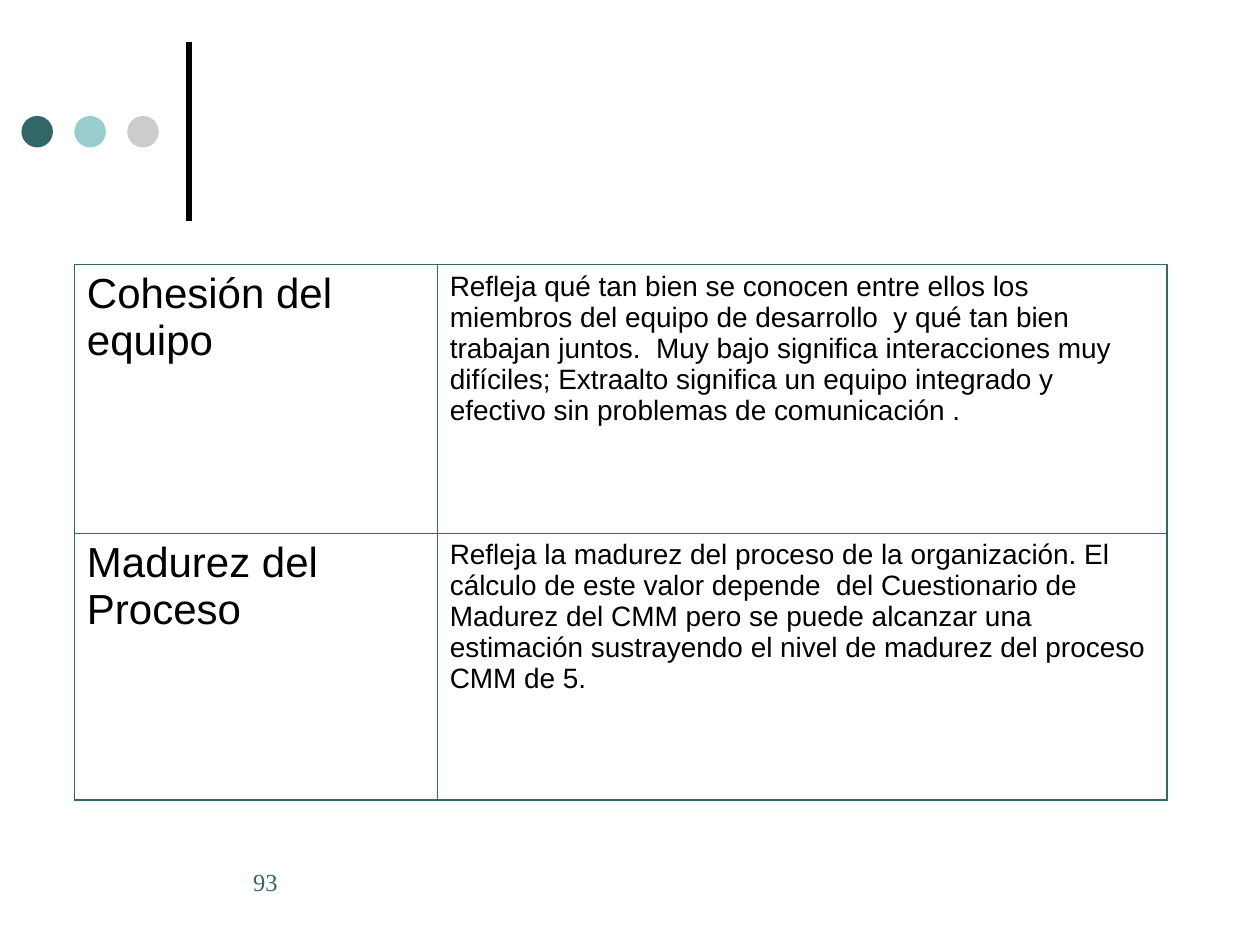
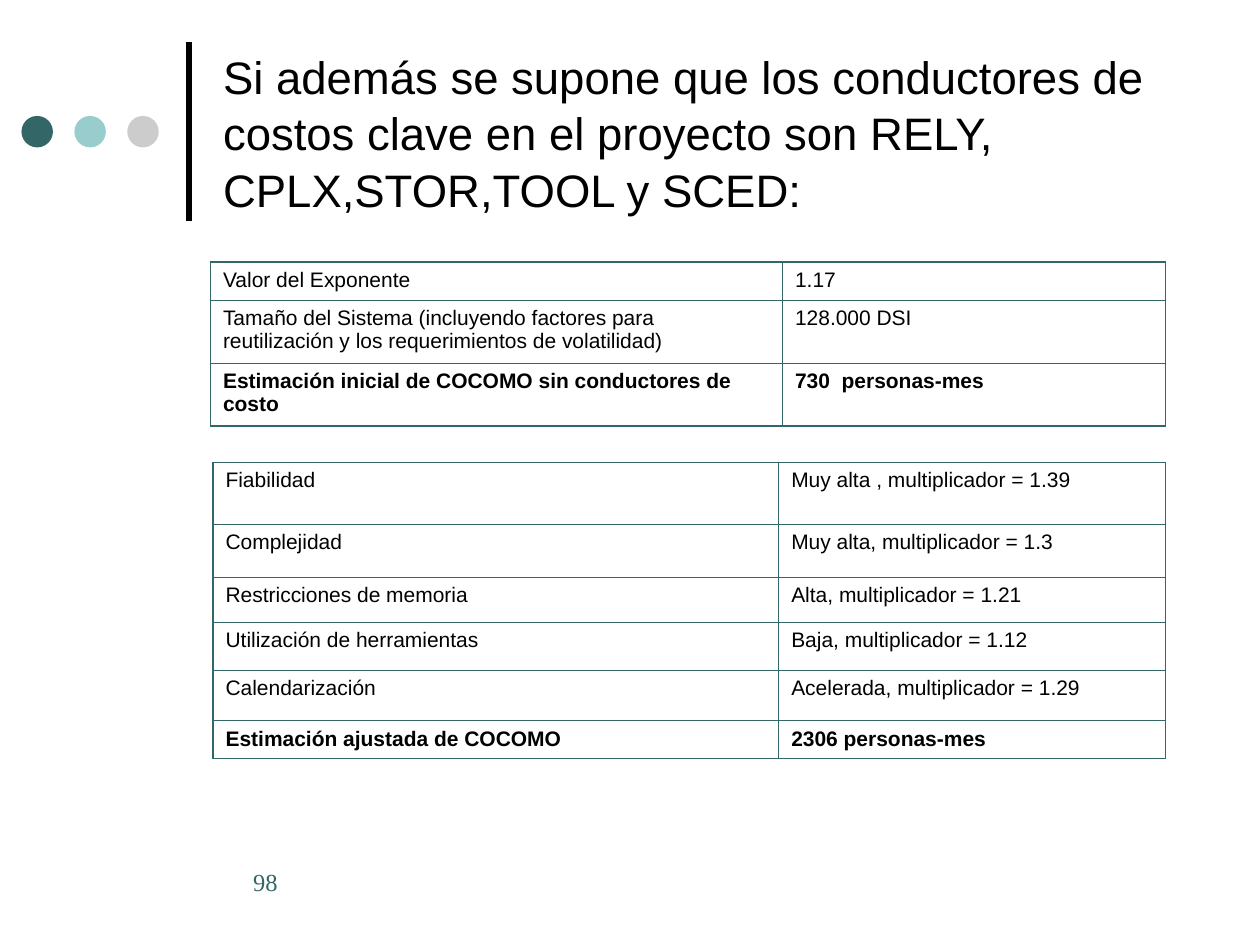
"""Build two COCOMO slides: scale factors and the adjusted effort estimate."""
from dataclasses import dataclass

from lxml.etree import SubElement
from pptx import Presentation
from pptx.dml.color import RGBColor
from pptx.enum.shapes import MSO_CONNECTOR as Connector, MSO_SHAPE as Shape
from pptx.enum.text import MSO_ANCHOR as Anchor, MSO_AUTO_SIZE as AutoSize, PP_ALIGN as Align
from pptx.oxml import parse_xml
from pptx.oxml.ns import nsdecls, qn
from pptx.util import Inches, Pt


@dataclass(frozen=True)
class Theme:
    teal: str = "336666"
    aqua: str = "99CCCC"
    grey: str = "CCCCCC"
    ink: str = "000000"
    body_font: str = "Arial"
    number_font: str = "Times New Roman"
    title_size: int = 26
    term_size: int = 24
    text_size: int = 16
    small_size: int = 12
    number_size: int = 14
    outer_border: float = 1.08
    inner_border: float = 0.45


THEME = Theme()
SMALL = (THEME.small_size, THEME.small_size)

SLIDES = [
    {
        "number": "93",
        "title": None,
        "tables": [
            {
                "at": (0.59, 2.1),
                "columns": (2.88, 5.79),
                "heights": (2.13, 2.12),
                "sizes": (THEME.term_size, THEME.text_size),
                "total": False,
                "rows": [
                    ("Cohesión del equipo",
                     "Refleja qué tan bien se conocen entre ellos los miembros del equipo de "
                     "desarrollo  y qué tan bien trabajan juntos.  Muy bajo significa "
                     "interacciones muy difíciles; Extraalto significa un equipo integrado y "
                     "efectivo sin problemas de comunicación ."),
                    ("Madurez del Proceso",
                     "Refleja la madurez del proceso de la organización. El cálculo de este "
                     "valor depende  del Cuestionario de Madurez del CMM pero se puede alcanzar "
                     "una estimación sustrayendo el nivel de madurez del proceso CMM de 5."),
                ],
            },
        ],
    },
    {
        "number": "98",
        "title": "Si además se supone que los conductores de costos clave en el proyecto "
                 "son RELY, CPLX,STOR,TOOL y SCED:",
        "tables": [
            {
                "at": (1.67, 2.08),
                "columns": (4.54, 3.04),
                "heights": (0.3, 0.5, 0.5),
                "sizes": SMALL,
                "total": True,
                "rows": [
                    ("Valor del Exponente", "1.17"),
                    ("Tamaño del Sistema (incluyendo factores para reutilización y los "
                     "requerimientos de volatilidad)", "128.000 DSI"),
                    ("Estimación inicial de COCOMO sin conductores de costo",
                     "730  personas-mes"),
                ],
            },
            {
                "at": (1.69, 3.67),
                "columns": (4.49, 3.07),
                "heights": (0.49, 0.42, 0.36, 0.38, 0.4, 0.3),
                "sizes": SMALL,
                "total": True,
                "rows": [
                    ("Fiabilidad", "Muy alta , multiplicador = 1.39"),
                    ("Complejidad", "Muy alta, multiplicador = 1.3"),
                    ("Restricciones de memoria", "Alta, multiplicador = 1.21"),
                    ("Utilización de herramientas", "Baja, multiplicador = 1.12"),
                    ("Calendarización", "Acelerada, multiplicador = 1.29"),
                    ("Estimación ajustada de COCOMO", "2306 personas-mes"),
                ],
            },
        ],
    },
]


def write(paragraph, text, size, color=THEME.ink, font=THEME.body_font, bold=False):
    run = paragraph.add_run()
    run.text = text
    run.font.size = Pt(size)
    run.font.name = font
    run.font.bold = bold
    run.font.color.rgb = RGBColor.from_string(color)


def place(shape, left, top, width, height):
    shape.left, shape.top = Inches(left), Inches(top)
    shape.width, shape.height = Inches(width), Inches(height)


def add_decoration(slide):
    bar = slide.shapes.add_connector(
        Connector.STRAIGHT, Inches(1.5), Inches(1.75), Inches(1.5), Inches(0.33))
    bar.line.color.rgb = RGBColor.from_string(THEME.ink)
    bar.line.width = Pt(3)
    SubElement(bar._element.spPr, qn("a:effectLst"))
    for index, color in enumerate((THEME.teal, THEME.aqua, THEME.grey)):
        dot = slide.shapes.add_shape(
            Shape.OVAL, Inches(0.17 + 0.42 * index), Inches(0.92), Inches(0.25), Inches(0.25))
        dot.shadow.inherit = False
        dot.fill.solid()
        dot.fill.fore_color.rgb = RGBColor.from_string(color)
        dot.line.fill.background()


def add_title(slide, text):
    title = slide.shapes.title
    place(title, 1.67, 0.21, 7.67, 1.67)
    frame = title.text_frame
    frame.word_wrap = True
    frame.auto_size = AutoSize.NONE
    frame.vertical_anchor = Anchor.MIDDLE
    paragraph = frame.paragraphs[0]
    paragraph.alignment = Align.LEFT
    paragraph.line_spacing = 1.04
    write(paragraph, text, THEME.title_size)


def add_number(slide, number):
    box = slide.shapes.add_textbox(Inches(1.67), Inches(6.83), Inches(1.42), Inches(0.5))
    box.text_frame.word_wrap = True
    paragraph = box.text_frame.paragraphs[0]
    paragraph._p.get_or_add_pPr().set("marL", str(Inches(0.24)))
    write(paragraph, number, THEME.number_size, THEME.teal, THEME.number_font)


def set_borders(cell, outer_sides):
    properties = cell._tc.get_or_add_tcPr()
    for index, side in enumerate("LRTB"):
        width = THEME.outer_border if side in outer_sides else THEME.inner_border
        properties.insert(index, parse_xml(
            f'<a:ln{side} {nsdecls("a")} w="{Pt(width)}"><a:solidFill>'
            f'<a:srgbClr val="{THEME.teal}"/></a:solidFill></a:ln{side}>'))


def add_grid(slide, content):
    rows, columns, heights = content["rows"], content["columns"], content["heights"]
    left, top = content["at"]
    table = slide.shapes.add_table(
        len(rows), len(columns), Inches(left), Inches(top),
        Inches(sum(columns)), Inches(sum(heights))).table
    table.first_row = table.horz_banding = False
    for column, width in zip(table.columns, columns):
        column.width = Inches(width)
    for row, height in zip(table.rows, heights):
        row.height = Inches(height)
    last_row, last_column = len(rows) - 1, len(columns) - 1
    for row_index, texts in enumerate(rows):
        for column_index, text in enumerate(texts):
            cell = table.cell(row_index, column_index)
            cell.fill.background()
            edges = {"L": column_index == 0, "R": column_index == last_column,
                     "T": row_index == 0, "B": row_index == last_row}
            set_borders(cell, [side for side, is_outer in edges.items() if is_outer])
            write(cell.text_frame.paragraphs[0], text, content["sizes"][column_index],
                  bold=content["total"] and row_index == last_row)


def main():
    presentation = Presentation()
    presentation.slide_width, presentation.slide_height = Inches(10), Inches(7.5)
    title_only, blank = presentation.slide_layouts[5], presentation.slide_layouts[6]
    for content in SLIDES:
        slide = presentation.slides.add_slide(title_only if content["title"] else blank)
        add_decoration(slide)
        if content["title"]:
            add_title(slide, content["title"])
        for table in content["tables"]:
            add_grid(slide, table)
        add_number(slide, content["number"])
    presentation.save("out.pptx")


if __name__ == "__main__":
    main()
